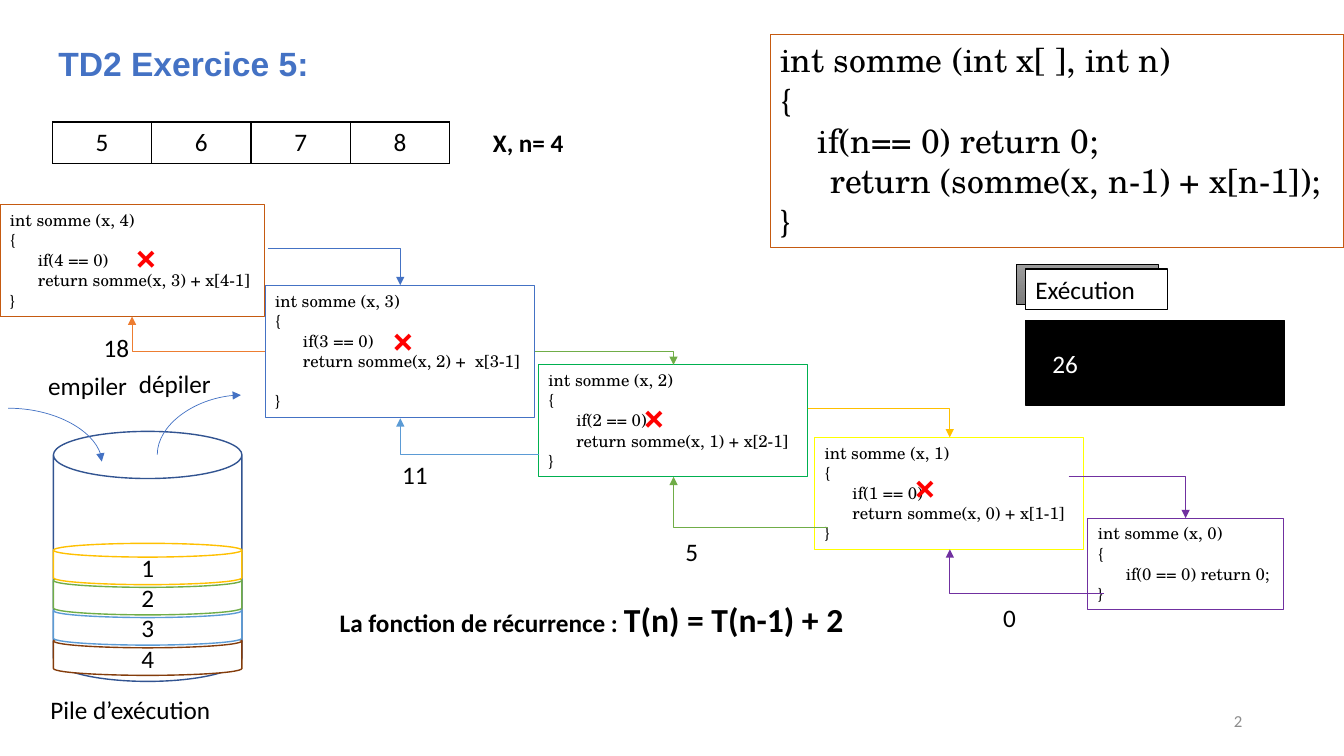
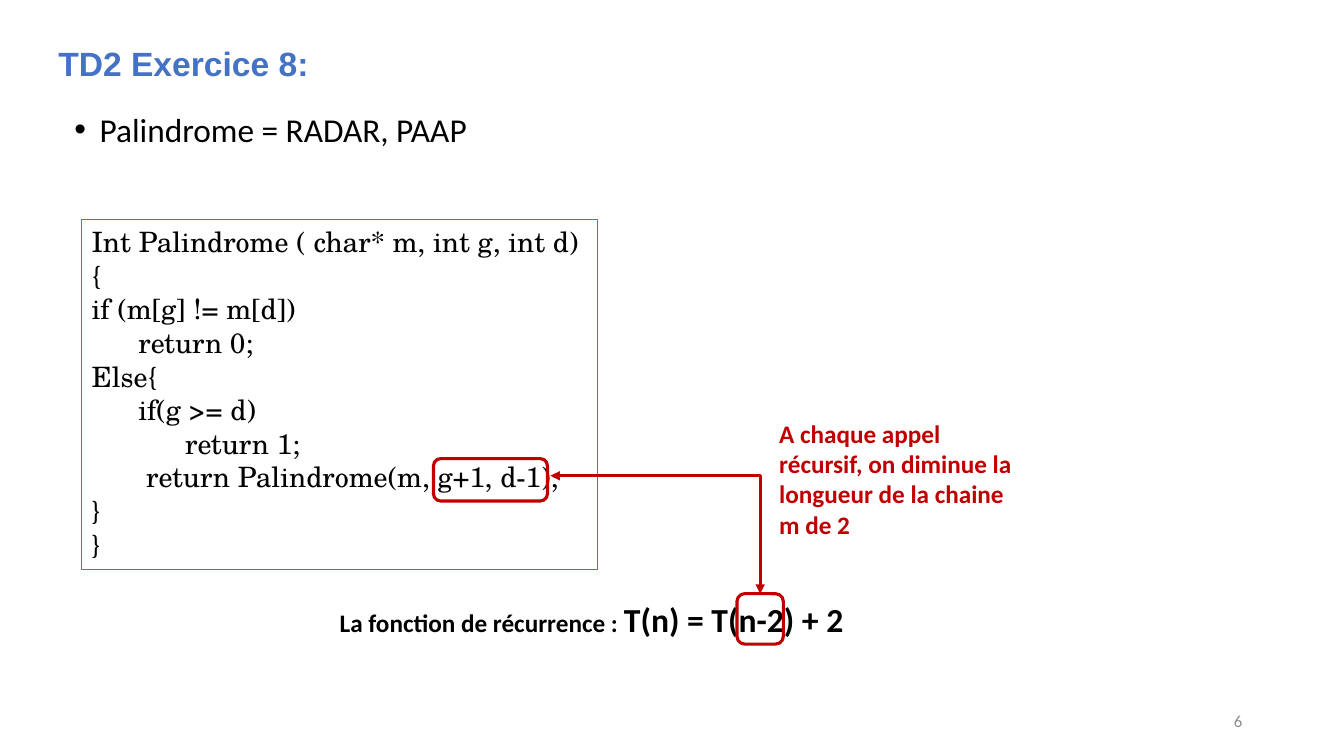
import pptx
import pptx.dml.color
import pptx.enum.shapes
import pptx.enum.text
import pptx.oxml
import pptx.oxml.ns
import pptx.util
from lxml import etree

Inches = pptx.util.Inches
RGBColor = pptx.dml.color.RGBColor
Shape = pptx.enum.shapes.MSO_SHAPE
Anchor = pptx.enum.text.MSO_ANCHOR
Align = pptx.enum.text.PP_ALIGN
qn = pptx.oxml.ns.qn

BLACK = RGBColor(0x00, 0x00, 0x00)
WHITE = RGBColor(0xFF, 0xFF, 0xFF)
GREY = RGBColor(0x8C, 0x8C, 0x8C)
LIGHT_GREY = RGBColor(0x9D, 0x9D, 0x9D)
DARK_GREY = RGBColor(0x7C, 0x7C, 0x7C)
BLUE = RGBColor(0x44, 0x72, 0xC4)
NAVY = RGBColor(0x32, 0x54, 0x91)
SKY = RGBColor(0x5B, 0x9B, 0xD5)
GREEN = RGBColor(0x70, 0xAD, 0x47)
BRIGHT_GREEN = RGBColor(0x00, 0xB0, 0x50)
YELLOW = RGBColor(0xFF, 0xFF, 0x00)
GOLD = RGBColor(0xFF, 0xC0, 0x00)
ORANGE = RGBColor(0xED, 0x7D, 0x31)
RUST = RGBColor(0xC5, 0x5A, 0x11)
BROWN = RGBColor(0x84, 0x3C, 0x0B)
PURPLE = RGBColor(0x70, 0x30, 0xA0)
RED = RGBColor(0xFF, 0x00, 0x00)
DARK_RED = RGBColor(0xC0, 0x00, 0x00)

BODY_FONT = "Calibri"
CODE_FONT = "TeX Gyre Schola"
TITLE_FONT = "Arial"


class Deck:
    """Holds the presentation, its style and the current slide."""

    def __init__(self):
        self.presentation = pptx.Presentation()
        self.presentation.slide_width = Inches(13.33)
        self.presentation.slide_height = Inches(7.5)
        self.slide = None

    def start_slide(self, title, number):
        self.slide = self.presentation.slides.add_slide(self.presentation.slide_layouts[6])
        self.text((0.48, 0.32, 11.5, 0.62), title, 24, BLUE, bold=True,
                  name=TITLE_FONT, anchor=Anchor.MIDDLE)
        self.text((9.42, 6.95, 3, 0.4), number, 12, GREY,
                  align=Align.RIGHT, anchor=Anchor.MIDDLE)

    def style(self, paragraph, size, colour, bold=False, name=BODY_FONT, align=None):
        paragraph.alignment = align
        font = paragraph.font
        font.name, font.bold = name, bold
        font.color.rgb = colour
        if size:
            font.size = pptx.util.Pt(size)

    def indent(self, paragraph, left, first=0):
        properties = paragraph._p.get_or_add_pPr()
        properties.set("marL", str(Inches(left)))
        properties.set("indent", str(Inches(first)))
        return properties

    def set_text(self, frame, text, size=18, colour=BLACK, anchor=Anchor.TOP, **style):
        frame.word_wrap = True
        frame.vertical_anchor = anchor
        paragraph = frame.paragraphs[0]
        paragraph.text = text
        self.style(paragraph, size, colour, **style)

    def text(self, box, text, *args, **style):
        shape = self.slide.shapes.add_textbox(*map(Inches, box))
        self.set_text(shape.text_frame, text, *args, **style)

    def shape(self, kind, box, line, width=1, fill=None):
        shape = self.slide.shapes.add_shape(kind, *map(Inches, box))
        shape.shadow.inherit = False
        shape.line.color.rgb = line
        shape.line.width = pptx.util.Pt(width)
        if fill is None:
            shape.fill.background()
        else:
            shape.fill.solid()
            shape.fill.fore_color.rgb = fill
        return shape

    def label(self, kind, box, line, fill, text, colour=BLACK, **style):
        shape = self.shape(kind, box, line, fill=fill)
        self.set_text(shape.text_frame, text, colour=colour, **style)

    def code(self, box, lines, size, line, fill=None):
        """Framed code; an empty line becomes space before the next one."""
        frame = self.shape(Shape.RECTANGLE, box, line, 0.75, fill).text_frame
        frame.word_wrap = True
        frame.vertical_anchor = Anchor.TOP
        paragraph, gap = None, 0
        for line_text in lines:
            if not line_text:
                gap += size * 1.2
                continue
            paragraph = frame.add_paragraph() if paragraph else frame.paragraphs[0]
            paragraph.text = line_text
            if gap:
                paragraph.space_before = pptx.util.Pt(gap)
                gap = 0
            self.style(paragraph, size, BLACK, name=CODE_FONT, align=Align.LEFT)
        return frame

    def connector(self, begin, end, colour, width=0.5, rotation=0,
                  preset="bentConnector2", ends=("tailEnd",)):
        """One-bend connector; begin and end are the points before rotation."""
        kind = pptx.enum.shapes.MSO_CONNECTOR.ELBOW
        connector = self.slide.shapes.add_connector(kind, *map(Inches, begin + end))
        connector.line.color.rgb = colour
        connector.line.width = pptx.util.Pt(width)
        properties = connector._element.spPr
        properties.find(qn("a:prstGeom")).set("prst", preset)
        if rotation:
            properties.find(qn("a:xfrm")).set("rot", str(rotation * 60000))
        for name in ends:
            etree.SubElement(properties.find(qn("a:ln")), qn("a:" + name), type="triangle")
        etree.SubElement(properties, qn("a:effectLst"))

    def table(self, box, values):
        graphic = self.slide.shapes.add_table(1, len(values), *map(Inches, box))
        table = graphic.table
        table.first_row = table.horz_banding = False
        for cell, value in zip(table.rows[0].cells, values):
            self.set_text(cell.text_frame, value, align=Align.CENTER)
            properties = cell._tc.get_or_add_tcPr()
            for side in ("lnL", "lnR", "lnT", "lnB"):
                border = etree.SubElement(properties, qn("a:" + side), w="12700")
                fill = etree.SubElement(border, qn("a:solidFill"))
                etree.SubElement(fill, qn("a:srgbClr"), val=str(BLACK))
            cell.fill.background()

    def bullet(self, box, text, size):
        shape = self.slide.shapes.add_textbox(*map(Inches, box))
        shape.text_frame.word_wrap = True
        paragraph = shape.text_frame.paragraphs[0]
        paragraph.text = text
        paragraph.line_spacing = 0.8
        properties = self.indent(paragraph, 0.25, -0.25)
        etree.SubElement(properties, qn("a:buFont"), typeface="Arial")
        etree.SubElement(properties, qn("a:buChar"), char="•")
        self.style(paragraph, size, BLACK)

    def recurrence(self, formula):
        shape = self.slide.shapes.add_textbox(*map(Inches, (3.27, 5.89, 5.55, 0.5)))
        shape.text_frame.word_wrap = True
        paragraph = shape.text_frame.paragraphs[0]
        for text, size in (("La fonction de récurrence : ", 18), (formula, 24)):
            run = paragraph.add_run()
            run.text = text
            run.font.size = pptx.util.Pt(size)
        self.style(paragraph, None, BLACK, bold=True)


def call_lines(n):
    """Code of the recursive call somme(x, n)."""
    head = [f"int somme (x, {n})", "{"]
    if n == 0:
        return head + ["      if(0 == 0) return 0;", "}"]
    space, gap = ("  ", [""]) if n == 3 else (" ", [])
    return head + [f"      if({n} == 0)",
                   f"      return somme(x, {n - 1}) +{space}x[{n}-1]"] + gap + ["}"]


def add_calls(deck):
    calls = (
        (4, (0, 2.03, 2.62, 1.11), RUST),
        (3, (2.63, 2.83, 2.67, 1.31), BLUE),
        (2, (5.34, 3.62, 2.67, 1.11), BRIGHT_GREEN),
        (1, (8.08, 4.34, 2.67, 1.11), YELLOW),
        (0, (10.79, 5.14, 1.94, 0.91), PURPLE),
    )
    for n, box, colour in calls:
        deck.code(box, call_lines(n), 12, colour)
    for begin, end, colour in (
        ((2.66, 2.46), (3.97, 2.83), BLUE),
        ((5.31, 3.49), (6.68, 3.62), GREEN),
        ((8.01, 4.05), (9.42, 4.34), GOLD),
        ((10.6, 4.73), (11.76, 5.14), PURPLE),
    ):
        deck.connector(begin, end, colour)
    for corner, opposite, colour in (
        ((9.42, 5.45), (10.95, 5.89), PURPLE),
        ((6.68, 4.73), (8.21, 5.23), GREEN),
        ((3.97, 4.15), (5.35, 4.51), SKY),
        ((1.31, 3.14), (2.63, 3.49), ORANGE),
    ):
        deck.connector(corner, opposite, colour, rotation=180)
    for value, box in (
        ("0", (9.85, 5.71, 0.35, 0.84)),
        ("5", (6.7, 5.05, 0.35, 0.84)),
        ("11", (3.89, 4.29, 0.68, 0.84)),
        ("18", (0.93, 2.98, 0.56, 0.93)),
    ):
        deck.text(box, value, anchor=Anchor.MIDDLE)
    for left, top in ((1.24, 2.24), (3.78, 3.06), (6.27, 3.82), (8.96, 4.52)):
        deck.text((left, top, 0.42, 0.57), "×", 28, RED, bold=True, name=CODE_FONT)


def add_stack(deck):
    deck.shape(Shape.CAN, (0.53, 4.28, 1.87, 2.48), NAVY)
    for level, colour in enumerate((BROWN, SKY, GREEN, GOLD)):
        deck.label(Shape.FLOWCHART_MAGNETIC_DISK, (0.53, 6.29 - 0.3 * level, 1.87, 0.41),
                   colour, WHITE, str(4 - level), align=Align.CENTER, anchor=Anchor.MIDDLE)
    deck.text((0.4, 6.84, 2.41, 0.4), "Pile d’exécution")
    deck.text((0.38, 3.62, 1.05, 0.4), "empiler")
    deck.text((1.28, 3.6, 1.05, 0.4), "dépiler")
    deck.connector((0.08, 4.05), (1.01, 4.58), BLUE, preset="curvedConnector2")
    deck.connector((2.27, 4.63), (1.68, 3.8), BLUE, rotation=90, preset="curvedConnector2")


def add_execution(deck):
    shadow = deck.shape(Shape.RECTANGLE, (10.08, 2.62, 1.41, 0.4), BLACK, 0.5)
    shadow.fill.gradient()
    shadow.fill.gradient_angle = 270
    for stop, colour in zip(shadow.fill.gradient_stops, (LIGHT_GREY, DARK_GREY)):
        stop.color.rgb = colour
    deck.label(Shape.RECTANGLE, (10.17, 2.67, 1.41, 0.4), BLACK, WHITE, "Exécution",
               align=Align.LEFT)
    deck.shape(Shape.RECTANGLE, (10.17, 3.18, 2.57, 0.84), BLACK, fill=BLACK)
    deck.label(Shape.RECTANGLE, (10.34, 3.35, 1.18, 0.52), BLACK, BLACK, "26", WHITE,
               align=Align.LEFT, anchor=Anchor.MIDDLE)


def add_sum_slide(deck):
    deck.start_slide("TD2 Exercice 5:", "2")
    add_calls(deck)
    add_stack(deck)
    add_execution(deck)
    deck.table((0.52, 1.21, 3.94, 0.41), "5678")
    deck.text((4.79, 1.21, 1.21, 0.41), "X, n= 4", bold=True)
    frame = deck.code((7.64, 0.34, 5.69, 2.12), (
        "int somme (int x[ ], int n)",
        "{",
        "    if(n== 0) return 0;",
        "return (somme(x, n-1) + x[n-1]);",
        "}",
    ), 24, RUST, WHITE)
    deck.indent(frame.paragraphs[3], 0.5)
    deck.recurrence("T(n) = T(n-1) + 2")


def add_palindrome_slide(deck):
    deck.start_slide("TD2 Exercice 8:", "6")
    deck.code((0.81, 2.18, 5.12, 3.47), (
        "Int Palindrome ( char* m, int g, int d)",
        "{",
        "if (m[g] != m[d])",
        "      return 0;",
        "Else{",
        "      if(g >= d)",
        "            return 1;",
        "       return Palindrome(m, g+1, d-1);",
        "}",
        "}",
    ), 20, RUST, WHITE)
    deck.recurrence("T(n) = T(n-2) + 2")
    deck.bullet((0.64, 1.11, 4.15, 0.5), "Palindrome = RADAR, PAAP", 23.8)
    for highlight in ((7.31, 5.89, 0.46, 0.5), (4.3, 4.55, 1.13, 0.42)):
        deck.shape(Shape.ROUNDED_RECTANGLE, highlight, DARK_RED, 2.25)
    deck.connector((5.46, 4.72), (7.54, 5.89), DARK_RED, 2.25, ends=("headEnd", "tailEnd"))
    deck.text((7.63, 4.1, 2.54, 1.31),
              "A chaque appel récursif, on diminue la longueur de la chaine m de 2",
              18, DARK_RED, bold=True)


def main():
    deck = Deck()
    add_sum_slide(deck)
    add_palindrome_slide(deck)
    deck.presentation.save("out.pptx")


if __name__ == "__main__":
    main()
